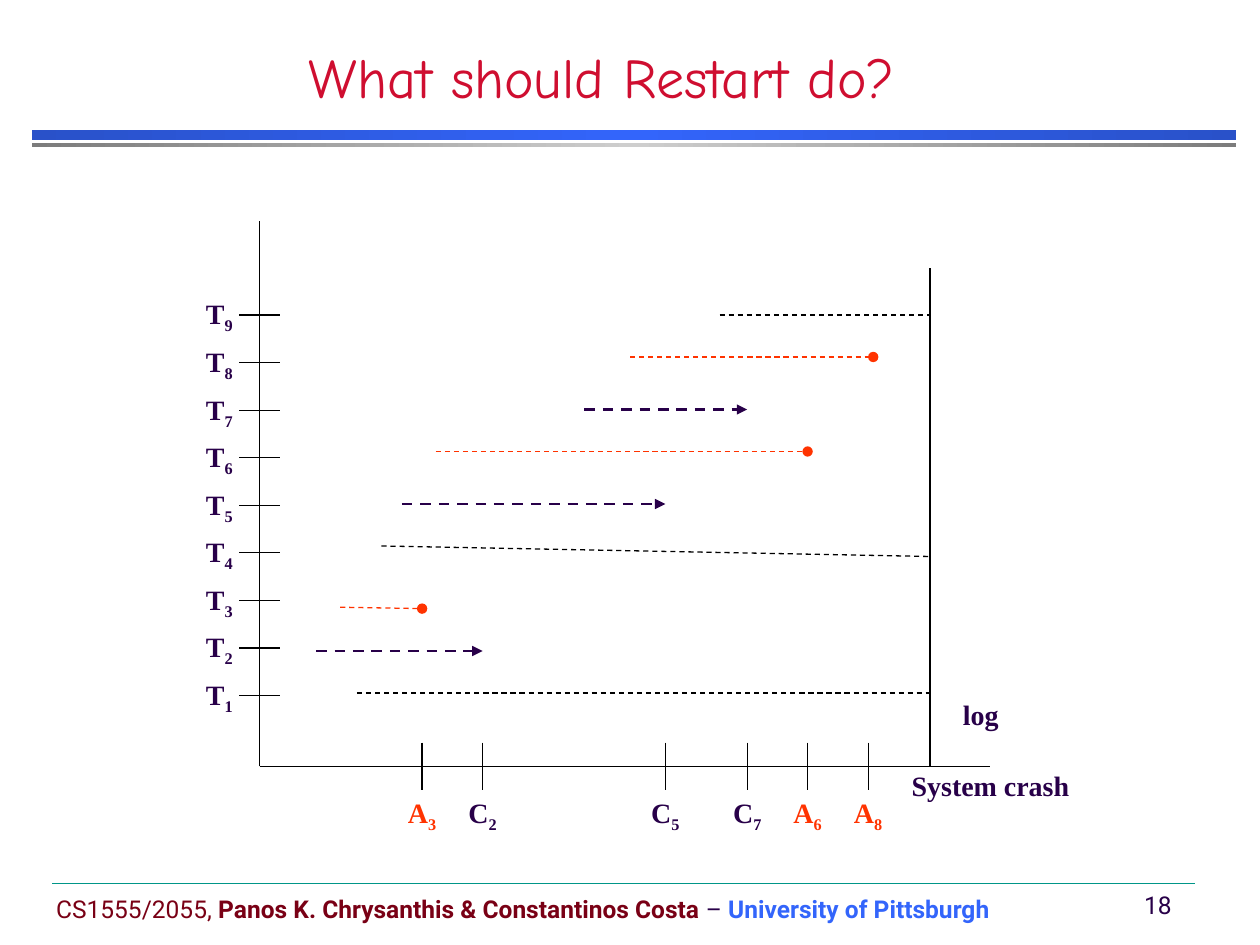
from dataclasses import dataclass
from typing import NamedTuple

from lxml.etree import SubElement
from pptx import Presentation
from pptx.dml.color import RGBColor
from pptx.enum.dml import MSO_LINE_DASH_STYLE as Dash
from pptx.enum.shapes import MSO_CONNECTOR as Connector, MSO_SHAPE as Preset
from pptx.enum.text import MSO_ANCHOR as Anchor, MSO_AUTO_SIZE as AutoSize, PP_ALIGN as Align
from pptx.oxml.ns import qn
from pptx.util import Pt

COLORS = {
    "title": "CF0E30", "ink": "280049", "abort": "FF3300", "line": "000000",
    "course": "790015", "school": "3365FB", "rule": "009688",
    "blue": "3365FB", "blue_edge": "2951C9", "gray": "CECECE", "gray_edge": "7C7C7C",
}

AXIS_X, AXIS_Y, CRASH_X = 148.4, 437.9, 531.4
ROW_BOTTOM, ROW_STEP = 397.4, 27.17
TICK_LENGTH, EVENT_TICK = 23.2, 27.2
LABEL_WIDTH, LABEL_HEIGHT = 46.2, 40.4


class Run(NamedTuple):
    text: str
    color: str = "ink"
    bold: bool = False
    subscript: bool = False


class Event(NamedTuple):
    letter: str
    number: int
    x: float
    color: str = "ink"


@dataclass
class Transaction:
    start: float
    end: float
    y: float
    color: str = "line"
    width: float = 0.75
    head: str = ""
    drop: float = 0


def committed(start: float, end: float, y: float) -> Transaction:
    return Transaction(start, end, y, "ink", 1.5, "triangle")


def aborted(start: float, end: float, y: float, drop: float = 0) -> Transaction:
    return Transaction(start, end, y, "abort", 0.75, "oval", drop)


EVENTS = [
    Event("A", 3, 241.2, "abort"), Event("C", 2, 275.8), Event("C", 5, 380.2),
    Event("C", 7, 427), Event("A", 6, 461.5, "abort"), Event("A", 8, 496.1, "abort"),
]
EVENT_X = {event.number: event.x for event in EVENTS}

# T1 to T9, from the bottom row upwards
TRANSACTIONS = [
    Transaction(204, CRASH_X, 396),
    committed(180.7, EVENT_X[2], 372),
    aborted(194.4, EVENT_X[3], 347, drop=0.8),
    Transaction(218, CRASH_X, 312, drop=6),
    committed(229.7, EVENT_X[5], 288),
    aborted(249, EVENT_X[6], 258),
    committed(334, EVENT_X[7], 234),
    aborted(360, 499, 204),
    Transaction(411.2, CRASH_X, 180),
]


def rgb(name: str) -> RGBColor:
    return RGBColor.from_string(COLORS[name])


def write_text(frame, runs: list[Run], *, font: str, size: float, align=Align.LEFT,
               anchor=Anchor.TOP, line_spacing=None, space_before: float = 0) -> None:
    frame.word_wrap = True
    frame.auto_size = AutoSize.NONE
    frame.vertical_anchor = anchor
    paragraph = frame.paragraphs[0]
    paragraph.alignment = align
    paragraph.line_spacing = line_spacing
    paragraph.space_before = Pt(space_before)
    for part in runs:
        run = paragraph.add_run()
        run.text = part.text
        run.font.name = font
        run.font.size = Pt(size)
        run.font.bold = part.bold
        run.font.color.rgb = rgb(part.color)
        if part.subscript:
            run.font._element.set("baseline", "-25000")


def add_text(slide, left: float, top: float, width: float, height: float,
             runs: list[Run], **text_format) -> None:
    box = slide.shapes.add_textbox(Pt(left), Pt(top), Pt(width), Pt(height))
    write_text(box.text_frame, runs, **text_format)


def add_label(slide, left: float, top: float, text: str, subscript: str = "",
              color: str = "ink", width: float = LABEL_WIDTH) -> None:
    runs = [Run(text, color, True)]
    if subscript:
        runs.append(Run(subscript, color, True, True))
    add_text(slide, left, top, width, LABEL_HEIGHT, runs, font="Times New Roman", size=16,
             align=Align.CENTER, line_spacing=0.9, space_before=3.2)


def add_line(slide, x1: float, y1: float, x2: float, y2: float, color: str = "line",
             width: float = 0.75, dashed: bool = False, head: str = "") -> None:
    connector = slide.shapes.add_connector(Connector.STRAIGHT, Pt(x1), Pt(y1), Pt(x2), Pt(y2))
    connector.line.color.rgb = rgb(color)
    connector.line.width = Pt(width)
    if dashed:
        connector.line.dash_style = Dash.DASH
    properties = connector.element.spPr
    if head:
        SubElement(properties.find(qn("a:ln")), qn("a:tailEnd"), type=head)
    SubElement(properties, qn("a:effectLst"))


def add_bar(slide, top: float, height: float, edge: str, middle: str) -> None:
    """Add a header bar that shades from edge to middle and back."""
    bar = slide.shapes.add_shape(Preset.RECTANGLE, Pt(18.3), Pt(top), Pt(688.2), Pt(height))
    bar.shadow.inherit = False
    bar.line.fill.background()
    bar.fill.gradient()
    bar.fill.gradient_angle = 0
    stops = bar.element.spPr.find(qn("a:gradFill")).find(qn("a:gsLst"))
    stops.clear()
    for position, color in ((0, edge), (50000, middle), (100000, edge)):
        stop = SubElement(stops, qn("a:gs"), pos=str(position))
        SubElement(stop, qn("a:srgbClr"), val=COLORS[color])


def add_header(slide) -> None:
    add_bar(slide, 74.3, 5.7, "blue_edge", "blue")
    add_bar(slide, 81.8, 2.2, "gray_edge", "gray")
    title = slide.shapes.title
    title.left, title.top, title.width, title.height = Pt(58.3), Pt(18), Pt(571.7), Pt(48.2)
    write_text(title.text_frame, [Run("What should Restart do?", "title")],
               font="Comic Neue", size=32, align=Align.CENTER, anchor=Anchor.BOTTOM)


def add_footer(slide) -> None:
    add_line(slide, 30, 504.6, 683, 504.6, "rule", 0.25)
    add_text(slide, 25, 506, 584, 26, [
        Run("CS1555/2055, ", "course"),
        Run("Panos K. Chrysanthis & Constantinos Costa", "course", True),
        Run(" – "),
        Run("University of Pittsburgh", "school", True),
    ], font="Roboto", size=14, anchor=Anchor.MIDDLE)
    add_text(slide, 644, 504, 35.3, 26, [Run("18")], font="Roboto", size=14,
             align=Align.CENTER, anchor=Anchor.MIDDLE)


def add_timeline(slide) -> None:
    add_line(slide, AXIS_X, AXIS_Y, 566, AXIS_Y)
    add_line(slide, AXIS_X, AXIS_Y, AXIS_X, 126)
    add_line(slide, CRASH_X, AXIS_Y, CRASH_X, 153)
    add_label(slide, 508, AXIS_Y, "System crash", width=116)
    add_label(slide, CRASH_X, 397.4, "log", width=58)

    for index, item in enumerate(TRANSACTIONS):
        row_y = ROW_BOTTOM - index * ROW_STEP
        add_line(slide, AXIS_X - TICK_LENGTH / 2, row_y, AXIS_X + TICK_LENGTH / 2, row_y)
        add_label(slide, AXIS_X - LABEL_WIDTH, row_y - 13.6, "T", str(index + 1))
        add_line(slide, item.start, item.y, item.end, item.y + item.drop,
                 item.color, item.width, True, item.head)

    tick_top, tick_bottom = AXIS_Y - EVENT_TICK / 2, AXIS_Y + EVENT_TICK / 2
    for event in EVENTS:
        add_line(slide, event.x, tick_top, event.x, tick_bottom)
        add_label(slide, event.x - LABEL_WIDTH / 2, tick_bottom, event.letter,
                  str(event.number), event.color)


def main() -> None:
    presentation = Presentation()
    presentation.slide_width, presentation.slide_height = Pt(720), Pt(540)
    slide = presentation.slides.add_slide(presentation.slide_layouts[5])
    add_header(slide)
    add_footer(slide)
    add_timeline(slide)
    presentation.save("out.pptx")


if __name__ == "__main__":
    main()
